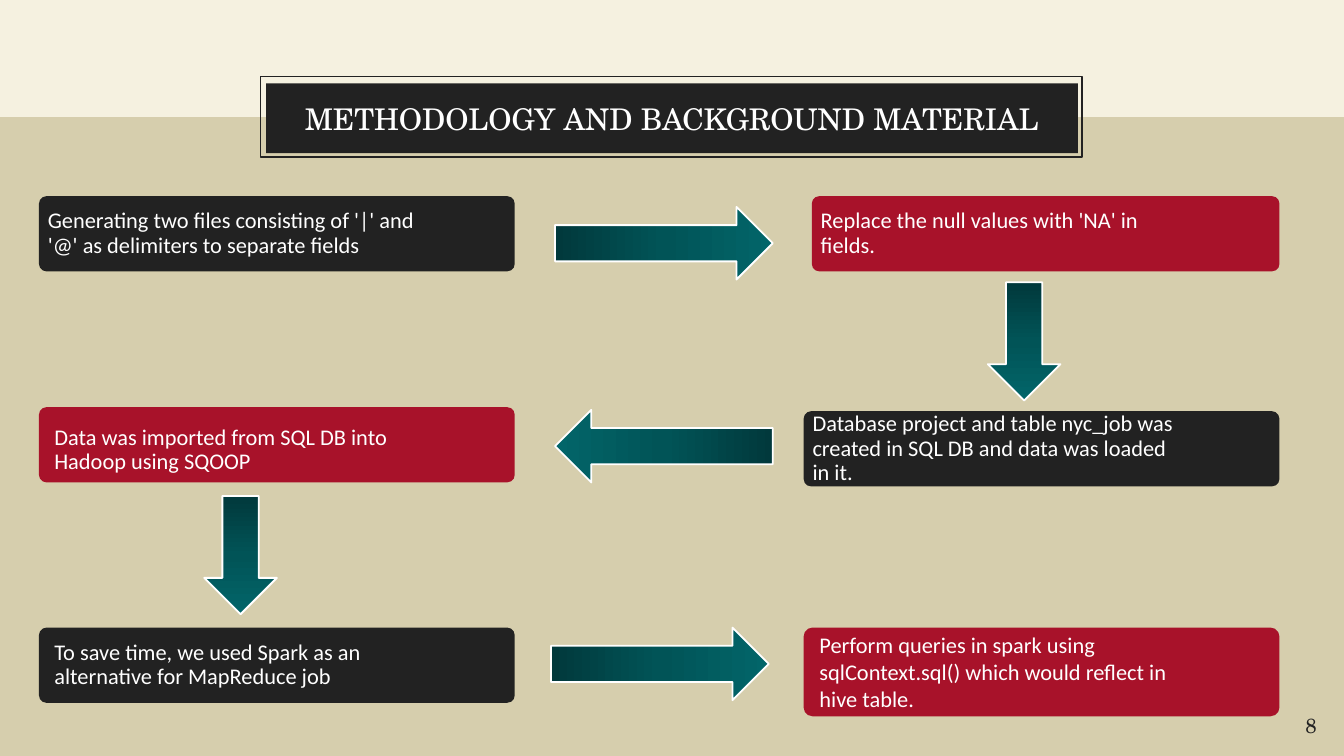
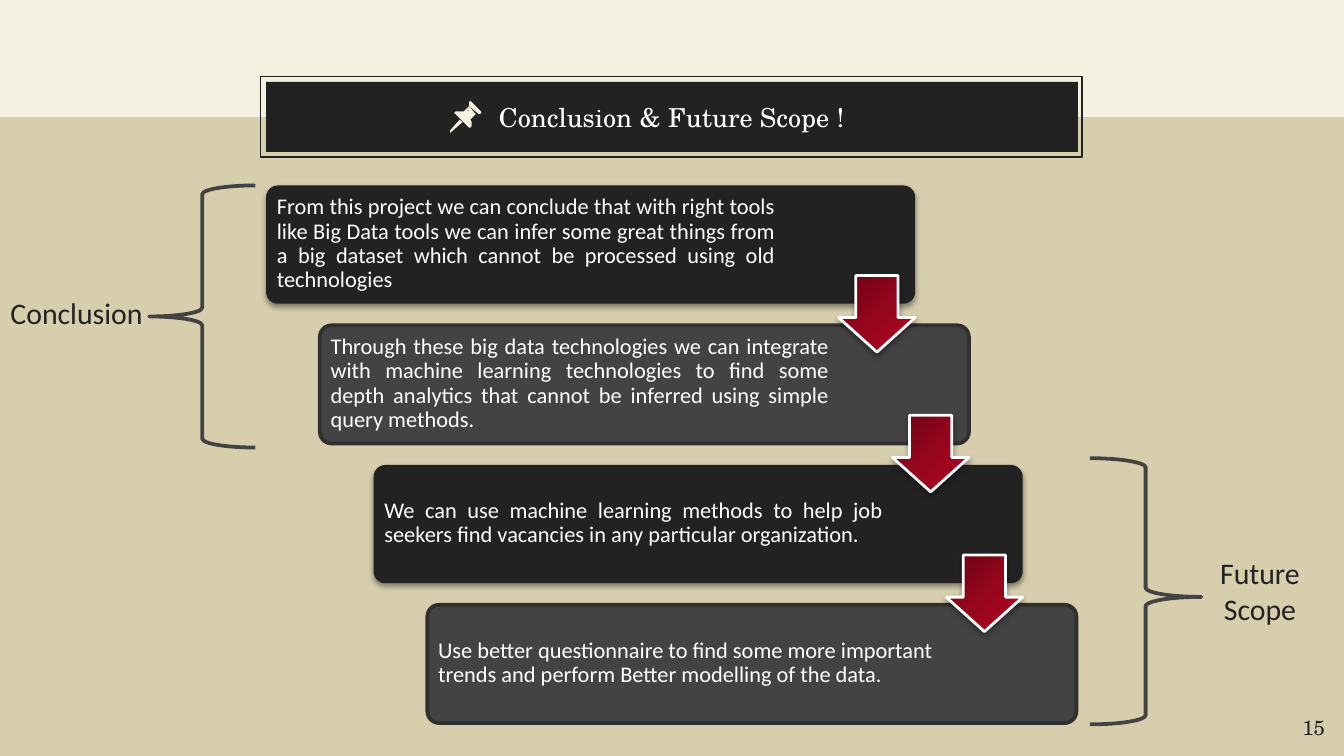
from lxml import etree
from pptx import Presentation
from pptx.dml.color import RGBColor
from pptx.enum.shapes import MSO_SHAPE
from pptx.enum.text import MSO_ANCHOR, PP_ALIGN
from pptx.oxml.ns import qn
from pptx.util import Inches, Pt

RECT, ROUND = MSO_SHAPE.RECTANGLE, MSO_SHAPE.ROUNDED_RECTANGLE
RIGHT_ARROW, DOWN_ARROW = MSO_SHAPE.RIGHT_ARROW, MSO_SHAPE.DOWN_ARROW
BRACE = MSO_SHAPE.LEFT_BRACE
LEFT, CENTER, JUSTIFY = PP_ALIGN.LEFT, PP_ALIGN.CENTER, PP_ALIGN.JUSTIFY
TOP, MIDDLE = MSO_ANCHOR.TOP, MSO_ANCHOR.MIDDLE

THEME = {
    "sand": "D6CEAD", "cream": "F5F1E0", "ink": "222222", "white": "FFFFFF",
    "red": "A8122A", "grey": "434343", "edge": "303030",
    "teal_fade": ("01393C", "015457", "026569"),
    "red_fade": ("670313", "95051C", "B30622"),
    "title_font": "TeX Gyre Schola", "body_font": "Calibri",
    "body": 12, "label": 16, "number": 11,
}

# Methodology: text, left, top, width, height, fill, insets, line spacing
STAGES = [
    ("Generating two files consisting of '|' and '@' as delimiters to separate fields",
     0.29, 1.46, 3.54, 0.56, "ink", (0.05, 0.05, 0.62, 0.05), 0.9),
    ("Replace the null values with 'NA' in fields.",
     6.04, 1.46, 3.48, 0.56, "red", (0.05, 0.05, 0.71, 0.05), 0.9),
    ("Database project and table nyc_job was created in SQL DB and data was loaded in it.",
     5.98, 3.06, 3.54, 0.56, "ink", (0.05, 0.05, 0.72, 0.05), 0.9),
    ("Data was imported from SQL DB into Hadoop using SQOOP",
     0.29, 3.03, 3.54, 0.56, "red", (0.1, 0.13, 0.66, 0.05), 0.9),
    ("To save time, we used Spark as an alternative for MapReduce job",
     0.29, 4.67, 3.54, 0.56, "ink", (0.1, 0.09, 0.77, 0.09), 0.9),
    ("Perform queries in spark using sqlContext.sql() which would reflect in hive table.",
     5.98, 4.67, 3.54, 0.66, "red", (0.1, 0.09, 0.77, 0.09), 1.0),
]
# left, top, width, rotation, mirrored
FLOW_ARROWS = [
    (4.13, 1.54, 1.62, 0, False),
    (7.18, 2.27, 0.88, 90, False),
    (4.13, 3.05, 1.62, 0, True),
    (1.35, 3.86, 0.88, 90, False),
    (4.10, 4.67, 1.62, 0, False),
]

# Conclusion: text, alignment
STEPS = [
    ("From this project we can conclude that with right tools like Big Data tools we can "
     "infer some great things from a big dataset which cannot be processed using old "
     "technologies", JUSTIFY),
    ("Through these big data technologies we can integrate with machine learning "
     "technologies to find some depth analytics that cannot be inferred using simple "
     "query methods.", JUSTIFY),
    ("We can use machine learning methods to help job seekers find vacancies in any "
     "particular organization.", JUSTIFY),
    ("Use better questionnaire to find some more important trends and perform Better "
     "modelling of the data.", LEFT),
]
STEP_X, STEP_Y, STEP_DX, STEP_DY = 1.98, 1.38, 0.4, 1.04
# brace box, bend, mirrored, label lines, label box
BRACES = [
    ((1.11, 1.38, 0.79, 1.95), 0.5, False, ["Conclusion"], (0, 2.14, 1.14, 0.37)),
    ((8.11, 3.41, 0.83, 1.98), 0.521, True, ["Future", "Scope"], (8.97, 4.08, 0.81, 0.64)),
]
# Pushpin outlines in hundredths of an inch; each part is a list of contours
PIN = [
    [[(342, 89), (335, 97), (335, 99), (336, 98), (344, 91)]],
    [[(350, 75), (349, 76), (349, 79), (355, 84), (356, 85), (357, 85),
      (358, 84), (358, 83), (351, 76)]],
    [[(349, 79), (345, 83), (343, 83), (341, 83), (339, 83), (338, 84), (339, 85),
      (349, 95), (350, 95), (351, 94), (351, 91), (350, 89), (354, 85)],
     [(349, 81), (349, 82), (346, 84)]],
]


def color(name):
    return RGBColor.from_string(THEME.get(name, name))


def fade(shape, stops, angle):
    """Fill with evenly spaced gradient stops; the angle runs counter-clockwise."""
    shape.fill.gradient()
    shape.fill.gradient_angle = angle
    gs_list = next(shape.element.iter(qn("a:gsLst")))
    for gs in list(gs_list):
        gs_list.remove(gs)
    for i, stop in enumerate(stops):
        gs = etree.SubElement(gs_list, qn("a:gs"), pos=str(i * 100000 // (len(stops) - 1)))
        etree.SubElement(gs, qn("a:srgbClr"), val=stop)


def drop_shadow(shape):
    effects = shape.element.spPr.find(qn("a:effectLst"))
    outer = etree.SubElement(effects, qn("a:outerShdw"), blurRad=str(Pt(3.1)),
                             dist=str(Pt(1.6)), dir="5400000", rotWithShape="0")
    black = etree.SubElement(outer, qn("a:srgbClr"), val="000000")
    etree.SubElement(black, qn("a:alpha"), val="38000")


def paint(shape, fill=None, line=None, width=1):
    shape.shadow.inherit = False
    if fill:
        shape.fill.solid()
        shape.fill.fore_color.rgb = color(fill)
    else:
        shape.fill.background()
    if line:
        shape.line.color.rgb = color(line)
        shape.line.width = Pt(width)
    else:
        shape.line.fill.background()


def add_shape(s, kind, box, fill=None, line=None, width=1, adj=(), mirrored=False):
    shape = s.shapes.add_shape(kind, *map(Inches, box))
    paint(shape, fill, line, width)
    for i, value in enumerate(adj):
        shape.adjustments[i] = value
    if mirrored:
        shape.element.spPr.find(qn("a:xfrm")).set("flipH", "1")
    return shape


def write(shape, lines, size, font="body_font", ink="white", align=LEFT,
          anchor=MIDDLE, insets=(0.1, 0.1, 0.1, 0.1), spacing=1.0):
    tf = shape.text_frame
    sides = ("margin_left", "margin_top", "margin_right", "margin_bottom")
    frame = dict(zip(sides, map(Inches, insets)), word_wrap=True, vertical_anchor=anchor)
    for name, value in frame.items():
        setattr(tf, name, value)
    for i, line in enumerate(lines):
        p = tf.add_paragraph() if i else tf.paragraphs[0]
        p.alignment, p.line_spacing = align, spacing
        r = p.add_run()
        r.text = line
        for name, value in {"size": Pt(size), "name": THEME[font]}.items():
            setattr(r.font, name, value)
        r.font.color.rgb = color(ink)


def add_text(s, box, lines, size, **style):
    write(s.shapes.add_textbox(*map(Inches, box)), lines, size, **style)


def add_base(prs, title, title_size, title_top, number, number_box):
    """Add a slide with the band, framed title and slide number."""
    s = prs.slides.add_slide(prs.slide_layouts[6])
    s.background.fill.solid()
    s.background.fill.fore_color.rgb = color("sand")
    add_shape(s, RECT, (0, 0, 10, 0.87), "cream")
    add_shape(s, RECT, (1.94, 0.57, 6.11, 0.6), line="ink", width=0.75)
    plate = add_shape(s, RECT, (1.98, title_top, 6.04, 0.52), "ink")
    write(plate, [title], title_size, font="title_font", align=CENTER)
    add_text(s, number_box, [number], THEME["number"], font="title_font",
             ink="ink", align=CENTER, anchor=TOP)
    return s


def build_methodology(prs):
    s = add_base(prs, "METHODOLOGY AND BACKGROUND MATERIAL", 16, 0.62, "8",
                 (9.52, 5.21, 0.47, 0.33))
    for text, x, y, w, h, fill, insets, spacing in STAGES:
        stage = add_shape(s, ROUND, (x, y, w, h), fill, adj=[0.1])
        write(stage, [text], THEME["body"], insets=insets, spacing=spacing)
    for x, y, w, rotation, mirrored in FLOW_ARROWS:
        arrow = add_shape(s, RIGHT_ARROW, (x, y, w, 0.54), line="white",
                          adj=(0.5, 0.5), mirrored=mirrored)
        arrow.rotation = rotation
        fade(arrow, THEME["teal_fade"], 0)


def add_pin(s):
    for contours in PIN:
        builder = s.shapes.build_freeform(*contours[0][0], scale=Inches(0.01))
        builder.add_line_segments(contours[0][1:])
        for contour in contours[1:]:
            builder.move_to(*contour[0])
            builder.add_line_segments(contour[1:])
        paint(builder.convert_to_shape(), "cream")


def build_conclusion(prs):
    s = add_base(prs, "Conclusion & Future Scope !", 14, 0.61, "15",
                 (9.57, 5.23, 0.41, 0.33))
    for i, (text, align) in enumerate(STEPS):
        x, y = STEP_X + i * STEP_DX, STEP_Y + i * STEP_DY
        look = {"fill": "grey", "line": "edge", "width": 2} if i % 2 else {"fill": "ink"}
        step = add_shape(s, ROUND, (x, y, 4.83, 0.88), adj=[0.1], **look)
        if i % 2 == 0:
            drop_shadow(step)
        add_text(s, (x + 0.03, y + 0.02, 3.81, 0.83), [text], THEME["body"],
                 align=align, insets=[0.05] * 4, spacing=0.9)
    for i in range(len(STEPS) - 1):
        box = (STEP_X + 4.26 + i * STEP_DX, STEP_Y + 0.67 + i * STEP_DY, 0.57, 0.57)
        arrow = add_shape(s, DOWN_ARROW, box, line="white", width=1.5, adj=(0.55, 0.45))
        fade(arrow, THEME["red_fade"], 315)
        drop_shadow(arrow)
    for box, bend, mirrored, label, label_box in BRACES:
        add_shape(s, BRACE, box, line="grey", width=2, adj=(0.083, bend), mirrored=mirrored)
        add_text(s, label_box, label, THEME["label"], ink="ink", align=CENTER,
                 anchor=TOP, insets=[0.05] * 4)
    add_pin(s)


def main():
    prs = Presentation()
    prs.slide_width = Inches(10)
    prs.slide_height = prs.slide_width * 9 // 16
    build_methodology(prs)
    build_conclusion(prs)
    prs.save("out.pptx")


if __name__ == "__main__":
    main()
